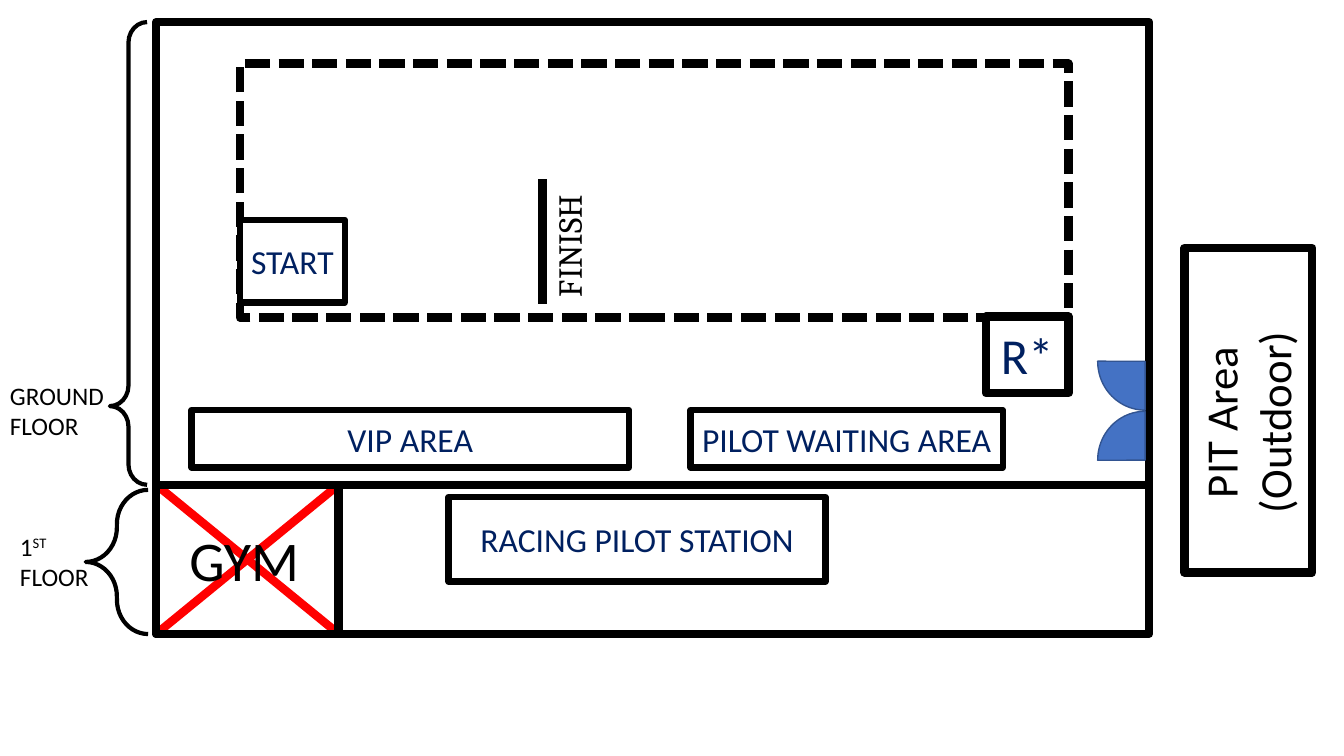
from dataclasses import dataclass

from lxml.etree import SubElement
from pptx import Presentation
from pptx.dml.color import RGBColor as Rgb
from pptx.enum.dml import MSO_LINE as Dash
from pptx.enum.shapes import MSO_CONNECTOR as Connector, MSO_SHAPE as Shape
from pptx.enum.text import MSO_ANCHOR as Anchor, PP_ALIGN as Align
from pptx.oxml.ns import qn
from pptx.util import Pt


@dataclass(frozen=True)
class Theme:
    ink: Rgb = Rgb(0, 0, 0)
    paper: Rgb = Rgb(255, 255, 255)
    navy: Rgb = Rgb(0x00, 0x20, 0x60)
    red: Rgb = Rgb(255, 0, 0)
    door: Rgb = Rgb(0x44, 0x72, 0xC4)
    door_edge: Rgb = Rgb(0x32, 0x54, 0x91)
    sans: str = "Calibri"
    serif: str = "Cambria"
    floor_size: float = 18
    room_size: float = 24
    pit_size: float = 32
    rescue_size: float = 36
    gym_size: float = 40
    wall: float = 6
    room_edge: float = 4.5
    brace: float = 3


THEME = Theme()


@dataclass(frozen=True)
class Box:
    """A rectangle in points."""
    x: float
    y: float
    w: float
    h: float

    def inner(self, dx, dy, w, h):
        return Box(self.x + dx, self.y + dy, w, h)

    def lengths(self):
        return Pt(self.x), Pt(self.y), Pt(self.w), Pt(self.h)


# Basic parts
def add_outline(page, kind, box, weight, fill=None, edge=THEME.ink, adjust=()):
    shape = page.shapes.add_shape(kind, *box.lengths())
    shape.shadow.inherit = False
    if fill is None:
        shape.fill.background()
    else:
        shape.fill.solid()
        shape.fill.fore_color.rgb = fill
    shape.line.color.rgb = edge
    shape.line.width = Pt(weight)
    for index, value in enumerate(adjust):
        shape.adjustments[index] = value
    return shape


def add_wall(page, x1, y1, x2, y2, color=THEME.ink):
    wall = page.shapes.add_connector(
        Connector.STRAIGHT, Pt(x1), Pt(y1), Pt(x2), Pt(y2))
    wall.line.color.rgb = color
    wall.line.width = Pt(THEME.wall)
    SubElement(wall.element.spPr, qn("a:effectLst"))


def write(shape, lines, size, color=THEME.ink, font=THEME.sans, align=Align.LEFT):
    """Each line is a list of runs; a run is its text and its baseline shift."""
    frame = shape.text_frame
    frame.word_wrap = True
    for index, runs in enumerate(lines):
        para = frame.paragraphs[0] if index == 0 else frame.add_paragraph()
        para.alignment = align
        for text, baseline in runs:
            span = para.add_run()
            span.text = text
            span.font.size = Pt(size)
            span.font.name = font
            span.font.color.rgb = color
            if baseline:
                span.font._element.set("baseline", str(baseline))


def plain(*texts):
    return [[(text, 0)] for text in texts]


def add_label(page, box, lines, size, turn=0, **style):
    label = page.shapes.add_textbox(*box.lengths())
    label.rotation = turn
    write(label, lines, size, **style)


def add_room(page, box, name, size=THEME.room_size, weight=THEME.room_edge):
    room = add_outline(page, Shape.RECTANGLE, box, weight, THEME.paper)
    room.text_frame.vertical_anchor = Anchor.MIDDLE
    write(room, plain(name), size, THEME.navy, align=Align.CENTER)


# Regions
def draw_track(page, box):
    track = add_outline(page, Shape.RECTANGLE, box, THEME.wall, THEME.paper)
    track.line.dash_style = Dash.SQUARE_DOT
    add_room(page, box.inner(0, 111.6, 74.9, 59), "START")
    finish_x = box.x + 216
    add_wall(page, finish_x, box.y + 82.8, finish_x, box.y + 172)
    add_label(page, box.inner(184.3, 112.3, 100.8, 36), plain("FINISH"),
              THEME.room_size, 270, font=THEME.serif, align=Align.CENTER)
    add_room(page, box.inner(box.w - 59, box.h - 0.7, 59, 54.7), "R*",
             THEME.rescue_size, THEME.wall)


def draw_ground_floor(page, box):
    draw_track(page, box.inner(59.8, 29.6, 591.8, 181.4))
    for name, dx, width in (("PILOT WAITING AREA", 381.6, 223.2),
                            ("VIP AREA", 25.2, 312.5)):
        add_room(page, box.inner(dx, 277.2, width, 41), name)
    # Double door: two quarter circles, angles in units of 1/0.6 degree
    for dy, angles in ((278, (107.9, 162)), (207.4, (54, 108.1))):
        add_outline(page, Shape.PIE, box.inner(672.5, dy, 67.7, 69.8), 1,
                    THEME.door, THEME.door_edge, angles)


def draw_first_floor(page, box):
    gym = box.inner(0, 0, 130.3, box.h)
    right, bottom = gym.x + gym.w, gym.y + gym.h
    # Crossed-out gym
    add_wall(page, gym.x, gym.y, right, bottom, THEME.red)
    add_wall(page, right, gym.y, gym.x, bottom, THEME.red)
    add_wall(page, box.x, box.y, box.x + box.w, box.y)
    add_wall(page, right, gym.y, right, bottom)
    add_label(page, gym.inner(16.6, 25.2, 93.6, 55.4), plain("GYM"), THEME.gym_size)
    add_outline(page, Shape.RECTANGLE, gym, THEME.wall)
    add_room(page, box.inner(208.8, 8.7, 269.3, 60.5), "RACING PILOT STATION")


def draw_floor_mark(page, box, point, label_box, lines):
    add_outline(page, Shape.LEFT_BRACE, box, THEME.brace, adjust=(0.55, point))
    add_label(page, label_box, lines, THEME.floor_size)


def draw_pit_area(page, box):
    add_outline(page, Shape.RECTANGLE, box, THEME.wall, THEME.paper)
    add_label(page, box.inner(-69.8, 82.1, 229.7, 85),
              plain("PIT Area", "(Outdoor)"), THEME.pit_size, 270,
              align=Align.CENTER)


def draw_venue_plan(page):
    building = Box(111.6, 15.8, 709.2, 437)
    ground_height = 330.5
    add_outline(page, Shape.RECTANGLE, building, THEME.wall)
    draw_first_floor(page, building.inner(
        0, ground_height, building.w, building.h - ground_height))
    draw_ground_floor(page, building.inner(0, 0, building.w, ground_height))
    draw_floor_mark(page, Box(61.2, 349.9, 44.6, 103), 0.5,
                    Box(7.2, 375.8, 67, 51.1),
                    [[("1", 0), ("ST", 30000)], [("FLOOR", 0)]])
    draw_floor_mark(page, Box(78.5, building.y, 26.6, ground_height), 0.83,
                    Box(0, 267.8, 85, 51.1), plain("GROUND", "FLOOR"))
    draw_pit_area(page, Box(846, 177.1, 91.4, 231.8))


def main():
    deck = Presentation()
    deck.slide_width, deck.slide_height = Pt(960), Pt(540)
    draw_venue_plan(deck.slides.add_slide(deck.slide_layouts[6]))
    deck.save("out.pptx")


if __name__ == "__main__":
    main()
